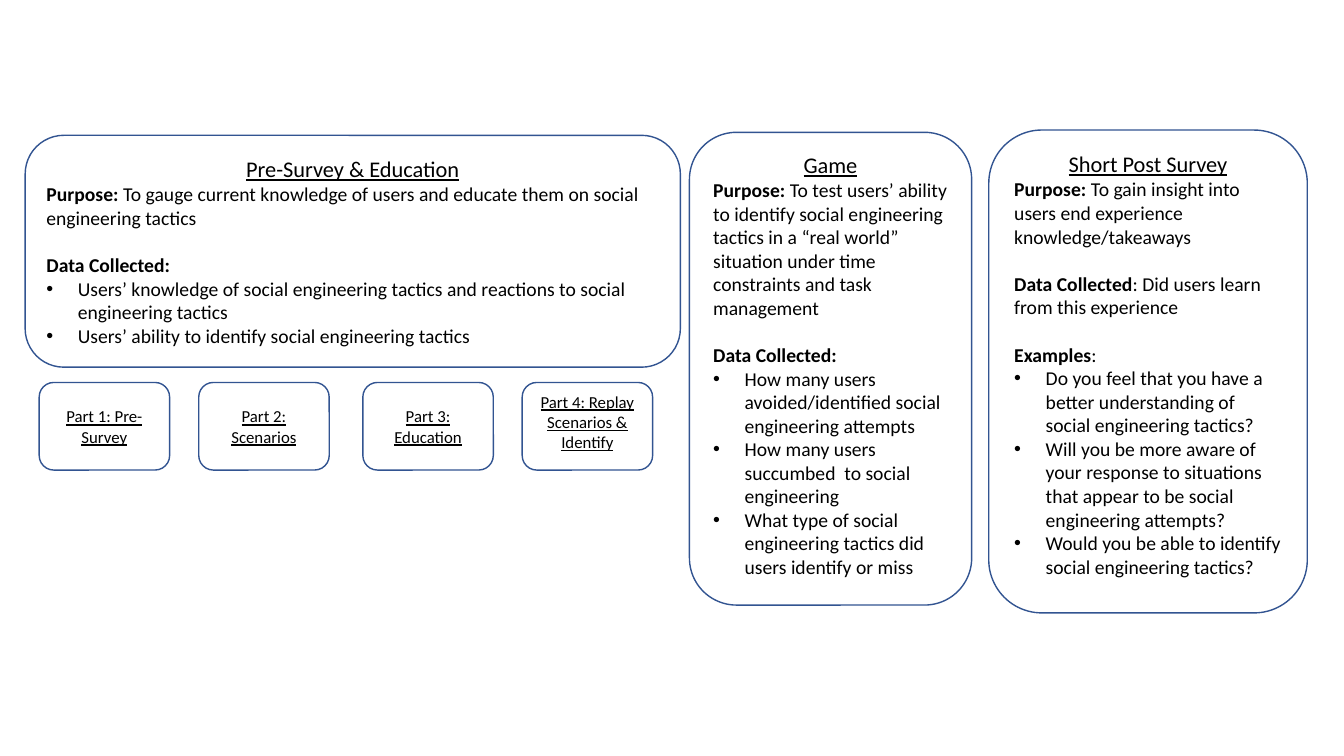
from dataclasses import dataclass
from typing import Optional

from lxml import etree
from pptx import Presentation
from pptx.dml.color import RGBColor
from pptx.enum import shapes, text
from pptx.oxml import ns
from pptx.util import Pt

BLACK = RGBColor(0x00, 0x00, 0x00)
WHITE = RGBColor(0xFF, 0xFF, 0xFF)
OUTLINE_BLUE = RGBColor(0x32, 0x54, 0x91)
FONT = "Calibri"
HEADING_SIZE, BODY_SIZE, PART_SIZE = 16, 14, 12
SECTION_GAP = 17
BULLET_INDENT = 22.5
TOP, MIDDLE = text.MSO_ANCHOR.TOP, text.MSO_ANCHOR.MIDDLE


@dataclass(frozen=True)
class Section:
    label: str
    detail: str = ""
    bullets: tuple[str, ...] = ()


@dataclass(frozen=True)
class Stage:
    heading: str
    left: float
    top: float
    width: float
    height: float
    anchor: text.MSO_ANCHOR = MIDDLE
    heading_size: float = HEADING_SIZE
    sections: tuple[Section, ...] = ()


STAGES = (
    Stage("Pre-Survey & Education", 18, 96.7, 468, 165.6, sections=(
        Section("Purpose:", " To gauge current knowledge of users and educate them "
                "on social engineering tactics"),
        Section("Data Collected:", bullets=(
            "Users’ knowledge of social engineering tactics and reactions to social "
            "engineering tactics",
            "Users’ ability to identify social engineering tactics")),
    )),
    Stage("Game", 492.5, 94.5, 201.6, 337.7, TOP, sections=(
        Section("Purpose:", " To test users’ ability to identify social engineering "
                "tactics in a “real world” situation under time constraints and task "
                "management"),
        Section("Data Collected:", bullets=(
            "How many users avoided/identified social engineering attempts",
            "How many users succumbed  to social engineering",
            "What type of social engineering tactics did users identify or miss")),
    )),
    Stage("Short Post Survey", 706.3, 92.9, 227.5, 344.9, TOP, sections=(
        Section("Purpose:", " To gain insight into users end experience "
                "knowledge/takeaways"),
        Section("Data Collected", ": Did users learn from this experience"),
        Section("Examples", ":", (
            "Do you feel that you have a better understanding of social engineering "
            "tactics?",
            "Will you be more aware of your response to situations that appear to be "
            "social engineering attempts?",
            "Would you be able to identify social engineering tactics?")),
    )),
)

PART_TOP, PART_WIDTH, PART_HEIGHT = 273.2, 93.2, 62.6
PARTS = tuple(
    Stage(heading, left, PART_TOP, PART_WIDTH, PART_HEIGHT, anchor, PART_SIZE)
    for heading, left, anchor in (
        ("Part 1: Pre-Survey", 28, MIDDLE),
        ("Part 2: Scenarios", 142, MIDDLE),
        ("Part 3: Education", 259.2, MIDDLE),
        ("Part 4: Replay Scenarios & Identify", 373, TOP),
    )
)


def write(paragraph, wording: str, *, size: float = BODY_SIZE, bold: bool = False,
          underline: bool = False, align: Optional[text.PP_ALIGN] = None) -> None:
    run = paragraph.add_run()
    run.text = wording
    run.font.name = FONT
    run.font.size = Pt(size)
    run.font.bold = bold
    run.font.underline = underline
    run.font.color.rgb = BLACK
    if align is not None:
        paragraph.alignment = align


def add_bullet(paragraph) -> None:
    properties = paragraph._p.get_or_add_pPr()
    properties.set("marL", str(Pt(BULLET_INDENT)))
    properties.set("indent", str(-Pt(BULLET_INDENT)))
    etree.SubElement(properties, ns.qn("a:buFont")).set("typeface", "Arial")
    etree.SubElement(properties, ns.qn("a:buChar")).set("char", "•")


def write_section(frame, section: Section, gap: float) -> None:
    opening = frame.add_paragraph()
    opening.space_before = Pt(gap)
    write(opening, section.label, bold=True, align=text.PP_ALIGN.LEFT)
    if section.detail:
        write(opening, section.detail)
    for wording in section.bullets:
        item = frame.add_paragraph()
        write(item, wording, align=text.PP_ALIGN.LEFT)
        add_bullet(item)


def draw_stage(slide, stage: Stage) -> None:
    panel = slide.shapes.add_shape(
        shapes.MSO_SHAPE.ROUNDED_RECTANGLE,
        Pt(stage.left), Pt(stage.top), Pt(stage.width), Pt(stage.height))
    panel.shadow.inherit = False
    panel.fill.solid()
    panel.fill.fore_color.rgb = WHITE
    panel.line.color.rgb = OUTLINE_BLUE
    panel.line.width = Pt(1)
    frame = panel.text_frame
    frame.word_wrap = True
    frame.vertical_anchor = stage.anchor
    write(frame.paragraphs[0], stage.heading, size=stage.heading_size,
          underline=True, align=text.PP_ALIGN.CENTER)
    for index, section in enumerate(stage.sections):
        write_section(frame, section, SECTION_GAP if index else 0)


def main() -> None:
    deck = Presentation()
    deck.slide_width, deck.slide_height = Pt(960), Pt(540)
    slide = deck.slides.add_slide(deck.slide_layouts.get_by_name("Blank"))
    for stage in STAGES + PARTS:
        draw_stage(slide, stage)
    deck.save("out.pptx")


main()
